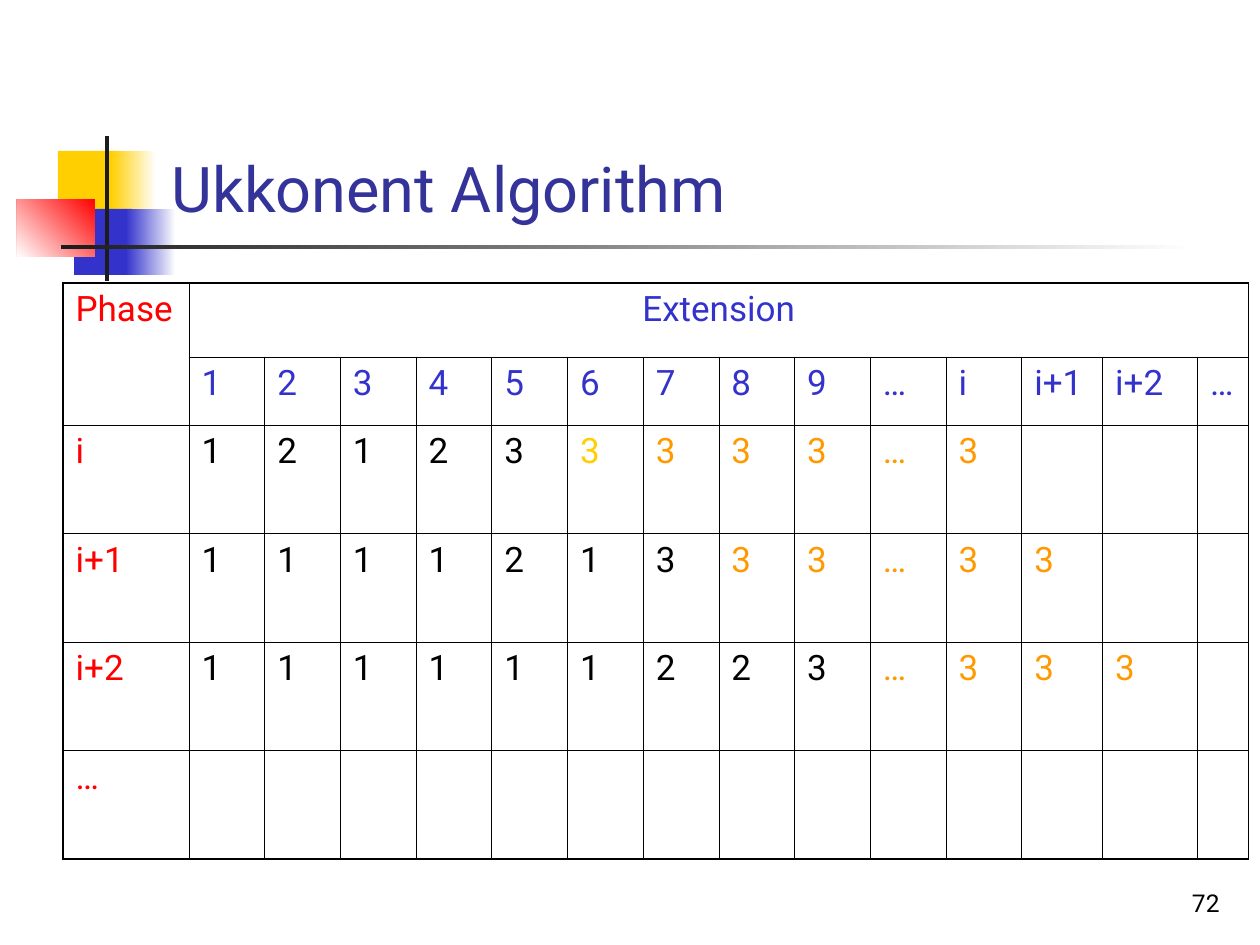
from lxml import etree
from pptx import Presentation, util as u
from pptx.dml.color import RGBColor
from pptx.enum import shapes, text
from pptx.oxml import ns

GOLD = RGBColor(0xFF, 0xCF, 0x01)
BLUE = RGBColor(0x33, 0x33, 0xCC)
NAVY = RGBColor(0x33, 0x33, 0x99)
RED = RGBColor(0xFF, 0, 0)
DARK = RGBColor(0x1C, 0x1C, 0x1C)
ORANGE = RGBColor(0xFF, 0x99, 0)
BLACK = RGBColor(0, 0, 0)
WHITE = RGBColor(0xFF, 0xFF, 0xFF)
FONT = "Roboto"
THIN, THICK = 0.45, 1.08

# left, top, width, height in px; colours from start to end; gradient angle
DECOR = [
    ((58, 151, 60, 66), [GOLD], 0),
    ((111, 151, 45, 66), [WHITE, GOLD], 180),
    ((74, 209, 58, 66), [BLUE], 0),
    ((126, 209, 50, 66), [WHITE, BLUE], 180),
    ((17, 199, 78, 58), [RED, WHITE], 225),
    ((105, 136, 4, 145), [DARK], 0),
    ((61, 245, 1134, 4), [WHITE, DARK], 180),
]
TITLE = ("Ukkonent Algorithm", (159, 29, 1074, 202), 36, NAVY, text.PP_ALIGN.LEFT)
NUMBER = ("72", (970, 861, 262, 63), 14, BLACK, text.PP_ALIGN.RIGHT)

STEPS = "1 2 3 4 5 6 7 8 9 … i i+1 i+2 …".split()
# phase, rule used in each extension, how many of them are explicit (black)
PHASES = [
    ("i", "1 2 1 2 3 3 3 3 3 … 3", 5),
    ("i+1", "1 1 1 1 2 1 3 3 3 … 3 3", 7),
    ("i+2", "1 1 1 1 1 1 2 2 3 … 3 3 3", 9),
    ("…", "", 0),
]
MARK = ("i", 6)


def px(n):
    return round(n * 914400 / 126)


def write(frame, words, size, color, align=text.PP_ALIGN.LEFT):
    para = frame.paragraphs[0]
    para.text = words
    para.alignment = align
    for key, val in {"name": FONT, "size": u.Pt(size)}.items():
        setattr(para.font, key, val)
    para.font.color.rgb = color


def add_block(slide, box, colors, angle):
    shape = slide.shapes.add_shape(shapes.MSO_SHAPE.RECTANGLE, *map(px, box))
    shape.shadow.inherit = False
    shape.line.fill.background()
    if len(colors) == 1:
        shape.fill.solid()
        shape.fill.fore_color.rgb = colors[0]
        return
    shape.fill.gradient()
    shape.fill.gradient_angle = angle
    for stop, color in zip(shape.fill.gradient_stops, colors):
        stop.color.rgb = color


def add_label(slide, words, box, size, color, align):
    frame = slide.shapes.add_textbox(*map(px, box)).text_frame
    frame.word_wrap = True
    frame.vertical_anchor = text.MSO_ANCHOR.BOTTOM
    write(frame, words, size, color, align)


def set_borders(cell, outer):
    """Draw all four sides, thick where the side name is in outer."""
    props = cell._tc.get_or_add_tcPr()
    for side in "LRTB":
        width = THICK if side in outer else THIN
        line = etree.SubElement(props, ns.qn(f"a:ln{side}"), w=str(u.Pt(width)))
        fill = etree.SubElement(line, ns.qn("a:solidFill"))
        etree.SubElement(fill, ns.qn("a:srgbClr"), val=str(BLACK))


def add_grid(slide):
    rows, cols = len(PHASES) + 2, len(STEPS) + 1
    widths = [px(126)] + [px(833) // 11] * 11 + [px(81), px(95), px(51)]
    heights = [px(74), px(68)] + [px(434) // 4] * 4
    table = slide.shapes.add_table(rows, cols, px(63), px(283),
                                   sum(widths), sum(heights)).table
    table.first_row = table.horz_banding = False
    for col, width in zip(table.columns, widths):
        col.width = width
    for row, height in zip(table.rows, heights):
        row.height = height
    table.cell(0, 0).merge(table.cell(1, 0))
    table.cell(0, 1).merge(table.cell(0, cols - 1))

    for r in range(rows):
        for c in range(cols):
            cell = table.cell(r, c)
            if not cell.is_spanned:
                ends = {"L": c == 0, "T": r == 0,
                        "R": c + cell.span_width == cols,
                        "B": r + cell.span_height == rows}
                set_borders(cell, [side for side, end in ends.items() if end])
            cell.fill.background()

    def put(r, c, words, color, align=text.PP_ALIGN.LEFT):
        write(table.cell(r, c).text_frame, words, 20, color, align)

    put(0, 0, "Phase", RED)
    put(0, 1, "Extension", BLUE, text.PP_ALIGN.CENTER)
    for c, step in enumerate(STEPS, 1):
        put(1, c, step, BLUE)
    for r, (phase, rules, known) in enumerate(PHASES, 2):
        put(r, 0, phase, RED)
        for c, rule in enumerate(rules.split(), 1):
            color = BLACK if c <= known else ORANGE
            put(r, c, rule, GOLD if (phase, c) == MARK else color)


def main():
    deck = Presentation()
    deck.slide_width, deck.slide_height = px(1260), px(945)
    slide = deck.slides.add_slide(deck.slide_layouts[6])
    for block in DECOR:
        add_block(slide, *block)
    add_label(slide, *TITLE)
    add_grid(slide)
    add_label(slide, *NUMBER)
    deck.save("out.pptx")


if __name__ == "__main__":
    main()
